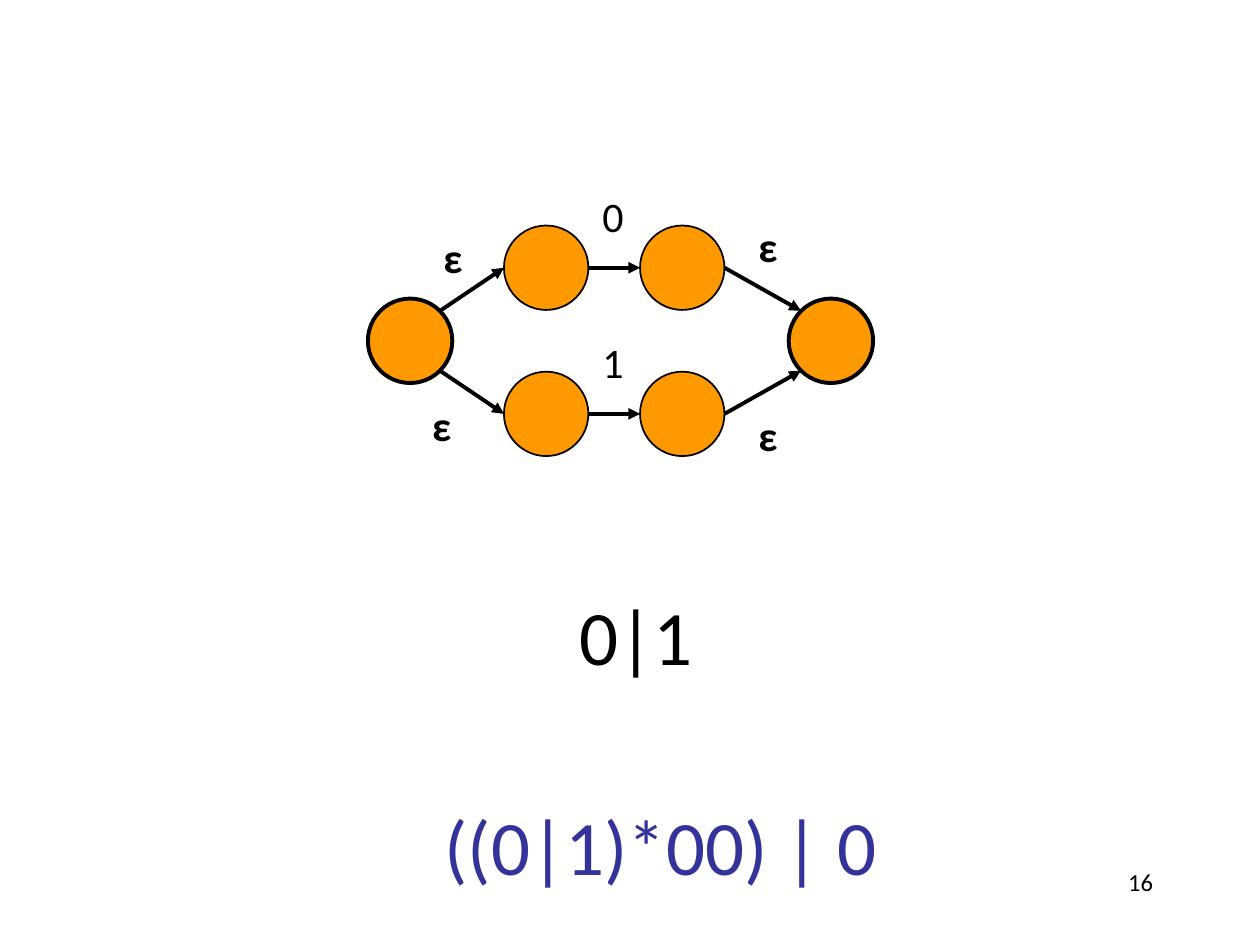
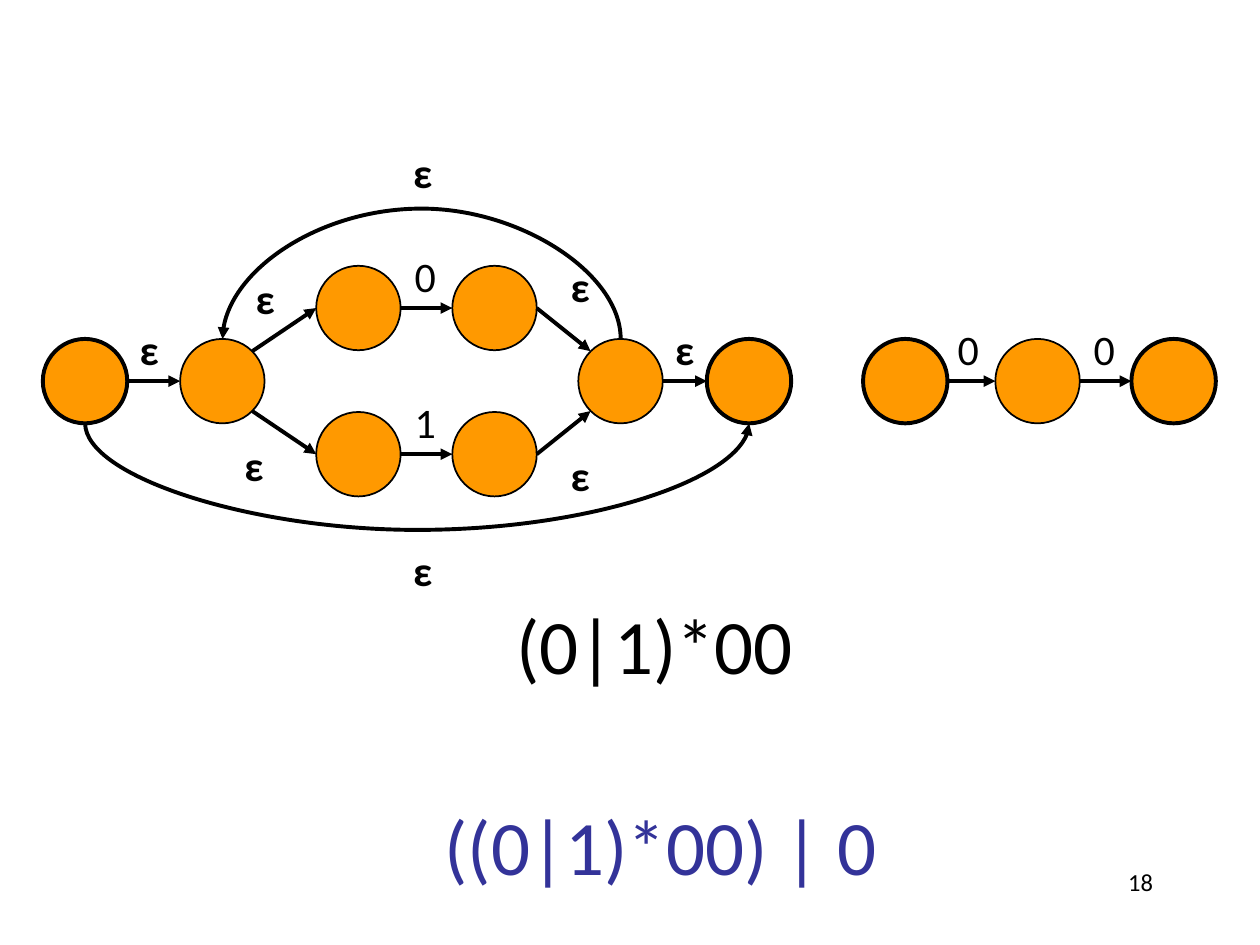
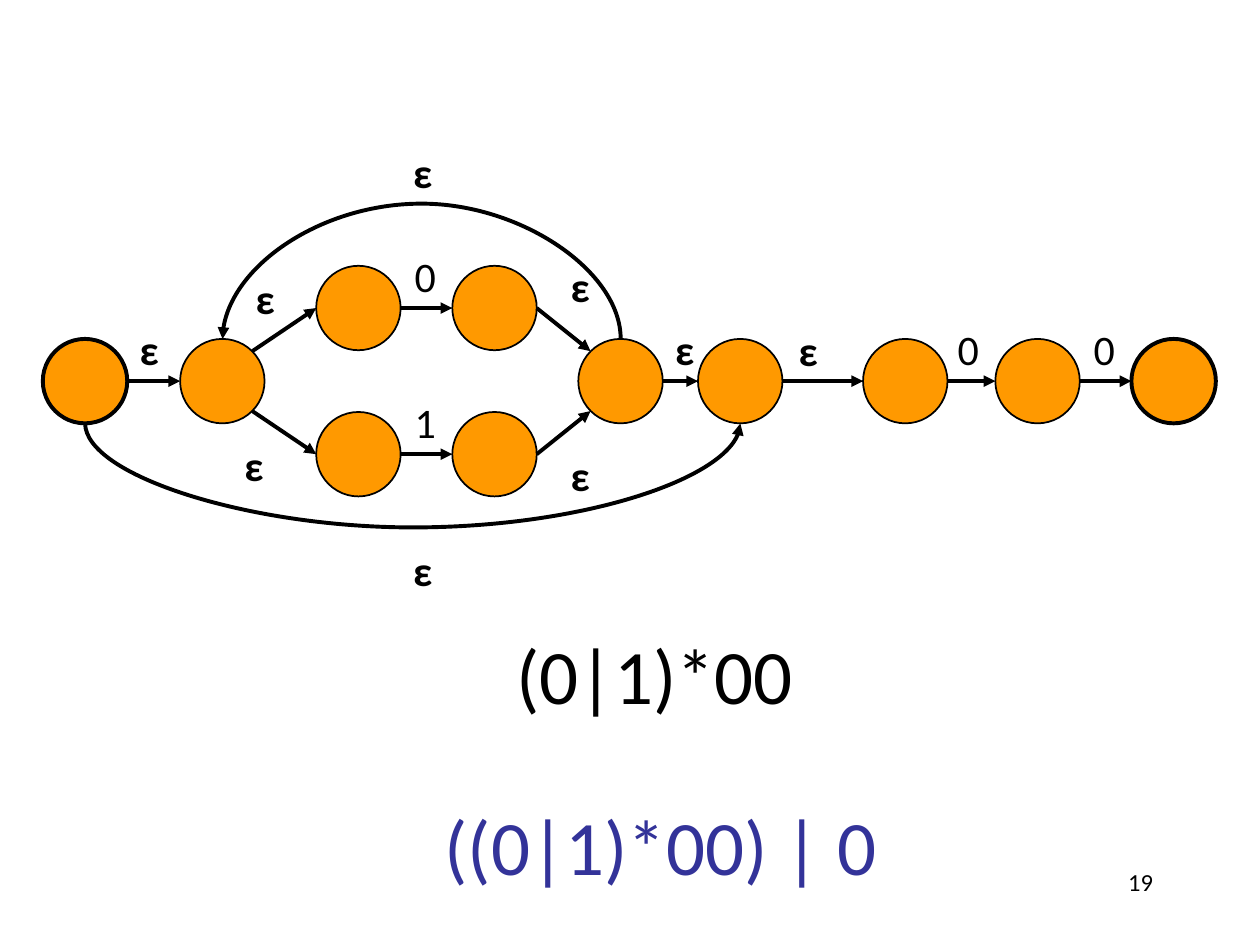
from lxml import etree
from pptx import Presentation
from pptx import util as u
from pptx.dml.color import RGBColor
from pptx.enum import shapes, text
from pptx.oxml.ns import qn

# Shared style
FONT, BLACK, ORANGE, BLUE = "Calibri", "000000", "FF9900", "333399"
THIN, THICK = 1, 2.25
WIDTH, HEIGHT = 10, 7.5
DIAMETER = 0.67
COLUMN, HALF_ROW = 1.08, 0.58
MIDDLE = 2.69                       # top of the states on the middle row
FULL_EXPRESSION = "((0|1)*00) | 0"

# Connection sites of a state, counter-clockwise from the top, as unit vectors
D = 0.71
SITES = {"top": (0, -1), "top left": (-D, -D), "left": (-1, 0), "bottom left": (-D, D),
         "bottom": (0, 1), "bottom right": (D, D), "right": (1, 0), "top right": (D, -D)}
SITE_NUMBERS = {name: number for number, name in enumerate(SITES)}


def choice(x, y, end_x, weight, digit_rise):
    """Automaton for 0|1 whose start state has its corner at x, y."""
    states = {"split": (x, y, weight), "join": (end_x, y, weight)}
    arrows, labels = [], []
    branches = [("0", -HALF_ROW, "top"), ("1", HALF_ROW, "bottom")]
    for digit, shift, side in branches:
        for column, name in ((1, "before "), (2, "after ")):
            states[name + digit] = (x + column * COLUMN, y + shift, THIN)
        arrows += [("split", side + " right", "before " + digit, "left"),
                   ("before " + digit, "right", "after " + digit, "left"),
                   ("after " + digit, "right", "join", side + " left")]
        labels.append((digit, x + 1.76, y + shift - digit_rise))
    labels += [("ε", x + 0.5, y - 0.58), ("ε", x + 0.41, y + 0.75),
               ("ε", x + 3, y - 0.67), ("ε", x + 3, y + 0.83)]
    return states, arrows, labels


def sequence(accept_x, weight):
    """Automaton for (0|1)* followed by the one for 00."""
    states, arrows, labels = choice(1.43, MIDDLE, 4.59, THIN, 0.17)
    states.update({"start": (0.34, MIDDLE, THICK), "accept": (accept_x, MIDDLE, weight),
                   "zero": (6.85, MIDDLE, weight), "one zero": (7.9, MIDDLE, THIN),
                   "two zeros": (8.98, MIDDLE, THICK)})
    chain = [("start", "split"), ("join", "accept"),
             ("zero", "one zero"), ("one zero", "two zeros")]
    arrows += [(first, "right", second, "left") for first, second in chain]
    label_top = MIDDLE - 0.17
    labels += [("ε", 1.01, label_top), ("ε", 5.26, label_top), ("0", 7.5, label_top),
               ("0", 8.58, label_top), ("ε", 3.18, 1.11), ("ε", 3.18, 4.27)]
    return states, arrows, labels


def joined_sequence():
    states, arrows, labels = sequence(5.54, THIN)
    return (states, arrows + [("accept", "right", "zero", "left")],
            labels + [("ε", 6.24, MIDDLE - 0.16)])


# Slides: number, expression with its place, diagram, loops (from, to, site, reach)
SLIDES = [
    {"number": "16", "expression": ("0|1", 4.5, 4.62, 1.11),
     "diagram": choice(2.92, 2.37, 6.26, THICK, 0.33), "loops": []},
    {"number": "18", "expression": ("(0|1)*00", 4, 4.69, 2.42),
     "diagram": sequence(5.61, THICK),
     "loops": [("join", "split", "top", 1.05), ("start", "accept", "bottom", 0.86)]},
    {"number": "19", "expression": ("(0|1)*00", 4, 4.93, 2.42),
     "diagram": joined_sequence(),
     "loops": [("join", "split", "top", 1.09), ("start", "accept", "bottom", 0.84)]},
]


def color(value):
    return RGBColor.from_string(value)


def add_text(slide, content, left, top, width, height, size=24, fill=BLACK,
             bold=False, align=text.PP_ALIGN.LEFT, wrap=False):
    box = slide.shapes.add_textbox(*map(u.Inches, (left, top, width, height)))
    box.text_frame.word_wrap = wrap
    paragraph = box.text_frame.paragraphs[0]
    paragraph.alignment = align
    run = paragraph.add_run()
    run.text = content
    run.font.name, run.font.size, run.font.bold = FONT, u.Pt(size), bold
    run.font.color.rgb = color(fill)


def add_state(slide, left, top, weight):
    shape = slide.shapes.add_shape(shapes.MSO_SHAPE.FLOWCHART_CONNECTOR,
                                   *map(u.Inches, (left, top, DIAMETER, DIAMETER)))
    shape.shadow.inherit = False
    shape.fill.solid()
    shape.fill.fore_color.rgb = color(ORANGE)
    shape.line.color.rgb = color(BLACK)
    shape.line.width = u.Pt(weight)
    return shape


def site_point(state, site):
    radius = DIAMETER / 2
    return [corner + radius * (1 + unit) for corner, unit in zip(state, SITES[site])]


def add_arrow(slide, states, drawn, first, first_site, second, second_site,
              kind=shapes.MSO_CONNECTOR.STRAIGHT):
    ends = site_point(states[first], first_site) + site_point(states[second], second_site)
    connector = slide.shapes.add_connector(kind, *map(u.Inches, ends))
    connector.line.color.rgb = color(BLACK)
    connector.line.width = u.Pt(THICK)
    properties = connector.element.spPr
    etree.SubElement(properties.find(qn("a:ln")), qn("a:tailEnd"), type="triangle")
    etree.SubElement(properties, qn("a:effectLst"))
    # Attach both ends to the states
    links = connector.element.find(".//" + qn("p:cNvCxnSpPr"))
    for tag, name, site in (("a:stCxn", first, first_site), ("a:endCxn", second, second_site)):
        etree.SubElement(links, qn(tag), id=str(drawn[name].shape_id),
                         idx=str(SITE_NUMBERS[site]))
    return connector, ends


def add_loop(slide, states, drawn, first, second, site, reach):
    """Curved arrow that bows away from the row by reach."""
    connector, (x1, y, x2, _) = add_arrow(slide, states, drawn, first, site, second, site,
                                          shapes.MSO_CONNECTOR.CURVE)
    thickness, span = 0.002, abs(x2 - x1)
    upward = site == "top"
    connector.left, connector.top = u.Inches((x1 + x2) / 2), u.Inches(y - span / 2)
    connector.width, connector.height = u.Inches(thickness), u.Inches(span)
    frame = connector.element.spPr.find(qn("a:xfrm"))
    for flip in ("flipH", "flipV"):
        frame.attrib.pop(flip, None)
    frame.set("rot", str((90 if upward else 270) * 60000))
    if not upward:
        frame.set("flipH", "1")
    ratio = round((-reach if upward else reach) / thickness * 100000)
    geometry = connector.element.spPr.find(qn("a:prstGeom"))
    adjustments = geometry.find(qn("a:avLst"))
    if adjustments is None:
        adjustments = etree.SubElement(geometry, qn("a:avLst"))
    etree.SubElement(adjustments, qn("a:gd"), name="adj1", fmla=f"val {ratio}")


def build_slide(presentation, content):
    slide = presentation.slides.add_slide(presentation.slide_layouts[6])
    # Number and expressions
    add_text(slide, content["number"], 7.17, 6.83, 2.08, 0.5, size=14,
             align=text.PP_ALIGN.RIGHT, wrap=True)
    add_text(slide, *content["expression"], 0.84, size=44)
    add_text(slide, FULL_EXPRESSION, 3.43, 6.29, 3.67, 0.84, size=44, fill=BLUE)
    # Automaton
    states, arrows, labels = content["diagram"]
    drawn = {name: add_state(slide, *state) for name, state in states.items()}
    for arrow in arrows:
        add_arrow(slide, states, drawn, *arrow)
    for loop in content["loops"]:
        add_loop(slide, states, drawn, *loop)
    for label, left, top in labels:
        is_empty = label == "ε"
        add_text(slide, label, left, top, 0.35 if is_empty else 0.37, 0.5,
                 bold=is_empty, align=text.PP_ALIGN.CENTER)


def main():
    presentation = Presentation()
    presentation.slide_width, presentation.slide_height = u.Inches(WIDTH), u.Inches(HEIGHT)
    for content in SLIDES:
        build_slide(presentation, content)
    presentation.save("out.pptx")


if __name__ == "__main__":
    main()
